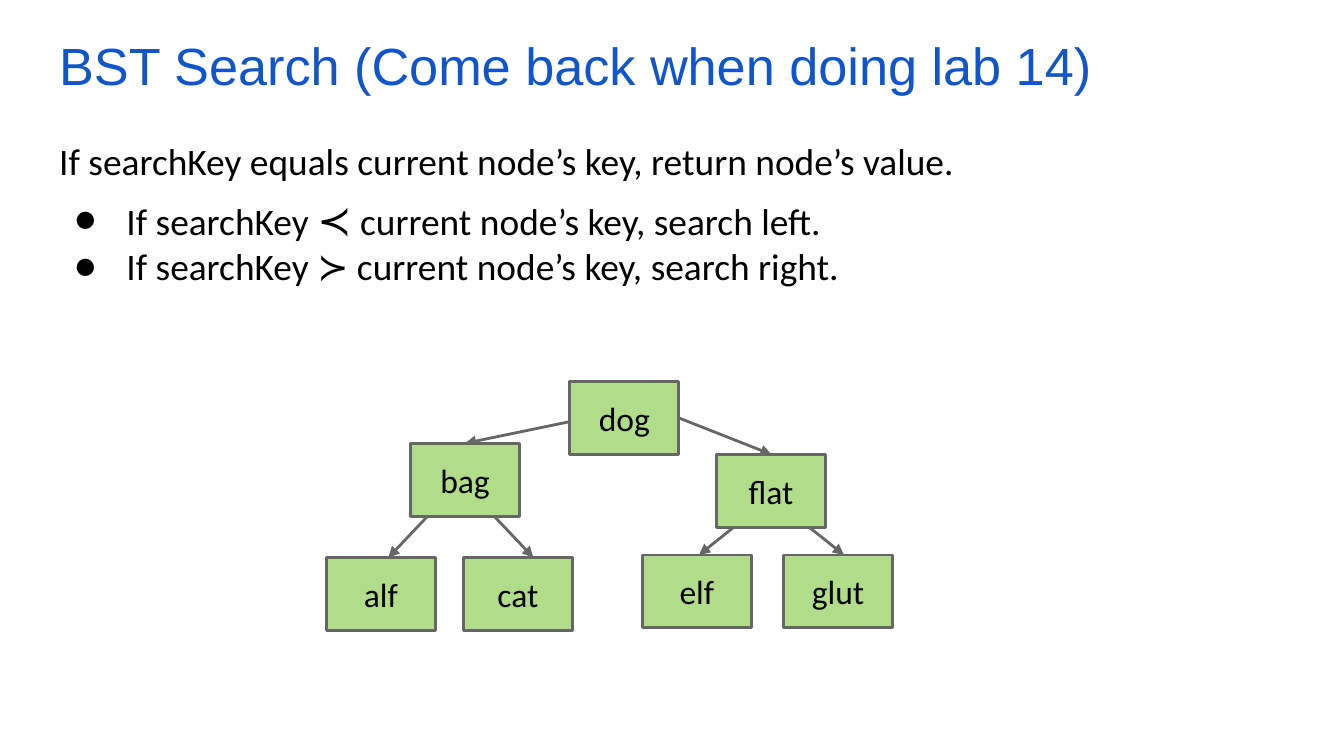
from lxml.etree import SubElement
from pptx import Presentation
from pptx.dml.color import RGBColor
from pptx.enum.shapes import MSO_CONNECTOR as Connector, MSO_SHAPE as Shape
from pptx.enum.text import MSO_ANCHOR as Anchor, PP_ALIGN as Align
from pptx.oxml.ns import qn
from pptx.util import Cm, Pt

COLORS = {"title": "1155CC", "text": "000000", "node": "B1DD8B", "line": "666666"}
INSET = Cm(0.25)


def add_run(paragraph, text, size, font="Calibri", color="text"):
    run = paragraph.add_run()
    run.text = text
    run.font.size = Pt(size)
    run.font.name = font
    run.font.color.rgb = RGBColor.from_string(COLORS[color])


def prepare_frame(shape, anchor):
    frame = shape.text_frame
    frame.word_wrap = True
    frame.vertical_anchor = anchor
    frame.margin_left = frame.margin_right = INSET
    frame.margin_top = frame.margin_bottom = INSET
    return frame


presentation = Presentation()
presentation.slide_width = Cm(25.4)
presentation.slide_height = Cm(14.29)
slide = presentation.slides.add_slide(presentation.slide_layouts[6])

title = slide.shapes.add_textbox(Cm(0.87), Cm(0.38), Cm(23.67), Cm(1.6))
frame = prepare_frame(title, Anchor.TOP)
add_run(frame.paragraphs[0], "BST Search (Come back when doing lab 14)", 28, "Arial", "title")

body = slide.shapes.add_textbox(Cm(0.87), Cm(2.36), Cm(23.67), Cm(9.5))
frame = prepare_frame(body, Anchor.TOP)
add_run(frame.paragraphs[0], "If searchKey equals current node’s key, return node’s value.", 20)

rules = [
    (6, [("If searchKey ", 20), ("≺", 22), (" current node’s key, search left.", 20)]),
    (0, [("If searchKey ≻ current node’s key, search right.", 20)]),
]
for space_before, runs in rules:
    paragraph = frame.add_paragraph()
    paragraph.space_before = Pt(space_before)
    properties = paragraph._p.get_or_add_pPr()
    properties.set("marL", str(Cm(1.27)))
    properties.set("indent", str(Cm(-0.99)))
    bullet_color = SubElement(properties, qn("a:buClr"))
    SubElement(bullet_color, qn("a:srgbClr"), val=COLORS["text"])
    SubElement(properties, qn("a:buFont"), typeface="Calibri")
    SubElement(properties, qn("a:buChar"), char="●")
    for text, size in runs:
        add_run(paragraph, text, size)

edges = [
    (8.23, 9.6, 7.34, 10.54),
    (9.19, 9.6, 10.08, 10.54),
    (14.1, 9.78, 13.21, 10.49),
    (15.06, 9.78, 15.95, 10.49),
    (11.25, 7.87, 8.79, 8.38),
    (12.83, 7.9, 14.58, 8.59),
]
for edge in edges:
    arrow = slide.shapes.add_connector(Connector.STRAIGHT, *[Cm(value) for value in edge])
    arrow.line.color.rgb = RGBColor.from_string(COLORS["line"])
    arrow.line.width = Pt(1.5)
    SubElement(arrow.line._get_or_add_ln(), qn("a:tailEnd"), type="triangle", w="med", len="med")
    SubElement(arrow._element.spPr, qn("a:effectLst"))

nodes = [
    ("dog", 10.77, 7.21),
    ("bag", 7.76, 8.38),
    ("flat", 13.54, 8.59),
    ("alf", 6.17, 10.54),
    ("cat", 8.76, 10.54),
    ("elf", 12.14, 10.49),
    ("glut", 14.81, 10.49),
]
for key, left, top in nodes:
    node = slide.shapes.add_shape(Shape.RECTANGLE, Cm(left), Cm(top), Cm(2.06), Cm(1.38))
    node.shadow.inherit = False
    node.fill.solid()
    node.fill.fore_color.rgb = RGBColor.from_string(COLORS["node"])
    node.line.color.rgb = RGBColor.from_string(COLORS["line"])
    node.line.width = Pt(1.5)
    paragraph = prepare_frame(node, Anchor.MIDDLE).paragraphs[0]
    paragraph.alignment = Align.CENTER
    add_run(paragraph, key, 18)

presentation.save("out.pptx")
